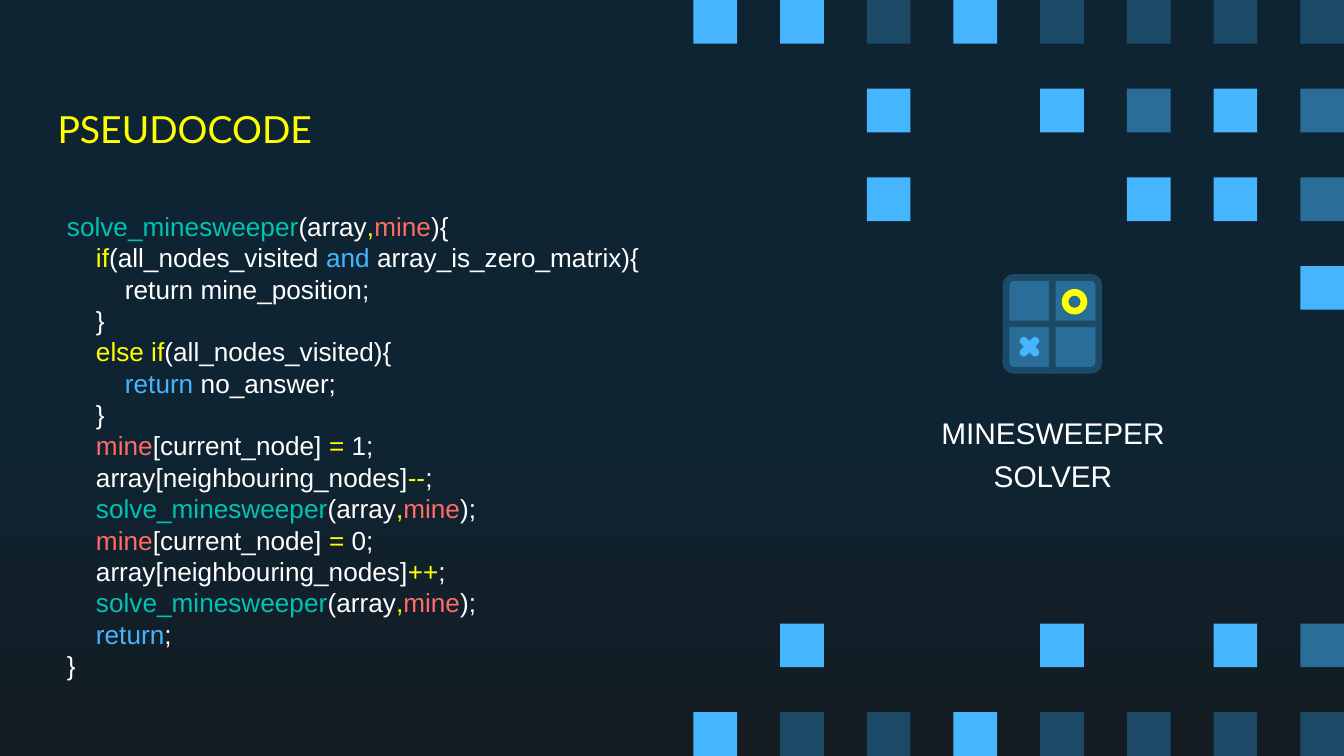
from dataclasses import dataclass

from pptx import Presentation
from pptx.dml.color import RGBColor
from pptx.enum.shapes import MSO_SHAPE
from pptx.enum.text import MSO_ANCHOR, PP_ALIGN
from pptx.util import Inches, Pt


@dataclass(frozen=True)
class Theme:
    night: str = "0E2433"
    dusk: str = "141C21"
    dark: str = "1C4966"
    mid: str = "296D98"
    bright: str = "45B6FE"
    yellow: str = "FFFF00"
    white: str = "FFFFFF"
    teal: str = "00C3B1"
    red: str = "FF6B65"
    title_font: str = "Lato"
    body_font: str = "Arial"
    title_size: float = 20
    label_size: float = 16
    code_size: float = 14
    code_leading: float = 16.8


T = Theme()
TILES = {"B": T.bright, "M": T.mid, "D": T.dark}
TOP_ROWS = ["BBDBDDDD", "..B.BMBM", "..B..BBM", ".......B"]
BOTTOM_ROWS = [".B..B.BM", "BDDBDDDD"]


def call(end):
    return [("solve_minesweeper", T.teal), ("(array", T.white), (",", T.yellow),
            ("mine", T.red), (end, T.white)]


def assign(value):
    return [("mine", T.red), ("[current_node] ", T.white), ("=", T.yellow),
            (f" {value};", T.white)]


def step(operator):
    return [("array[neighbouring_nodes]", T.white), (operator, T.yellow), (";", T.white)]


CODE = [
    (0, call("){")),
    (1, [("if", T.yellow), ("(all_nodes_visited ", T.white), ("and", T.bright),
         (" array_is_zero_matrix){", T.white)]),
    (2, [("return mine_position;", T.white)]),
    (1, [("}", T.white)]),
    (1, [("else if", T.yellow), ("(all_nodes_visited){", T.white)]),
    (2, [("return", T.bright), (" no_answer;", T.white)]),
    (1, [("}", T.white)]),
    (1, assign(1)),
    (1, step("--")),
    (1, call(");")),
    (1, assign(0)),
    (1, step("++")),
    (1, call(");")),
    (1, [("return", T.bright), (";", T.white)]),
    (0, [("}", T.white)]),
]


def add_block(shapes, kind, x, y, w, h, color, adj=None):
    sp = shapes.add_shape(kind, Inches(x), Inches(y), Inches(w), Inches(h))
    sp.shadow.inherit = False
    sp.fill.solid()
    sp.fill.fore_color.rgb = RGBColor.from_string(color)
    sp.line.fill.background()
    if adj is not None:
        sp.adjustments[0] = adj
    return sp


def add_text_frame(s, x, y, w, h, anchor, bottom=0.1):
    tf = s.shapes.add_textbox(Inches(x), Inches(y), Inches(w), Inches(h)).text_frame
    tf.word_wrap = True
    tf.vertical_anchor = anchor
    tf.margin_left = tf.margin_right = tf.margin_top = Inches(0.1)
    tf.margin_bottom = Inches(bottom)
    return tf


def add_run(p, text, color, font, size):
    r = p.add_run()
    r.text = text
    r.font.name = font
    r.font.size = Pt(size)
    r.font.color.rgb = RGBColor.from_string(color)


def draw_background(s):
    fill = s.background.fill
    fill.gradient()
    fill.gradient_angle = 270
    for stop, pos, color in zip(fill.gradient_stops, (0.56, 1), (T.night, T.dusk)):
        stop.position = pos
        stop.color.rgb = RGBColor.from_string(color)


def draw_tiles(s, x, y, rows, pitch_x=0.645, pitch_y=0.66, side=0.325):
    for j, row in enumerate(rows):
        for i, key in enumerate(row):
            if key in TILES:
                add_block(s.shapes, MSO_SHAPE.RECTANGLE, x + i * pitch_x,
                          y + j * pitch_y, side, side, TILES[key])


def draw_title(s, x, y, w, h):
    tf = add_text_frame(s, x, y, w, h, MSO_ANCHOR.MIDDLE)
    add_run(tf.paragraphs[0], "PSEUDOCODE", T.yellow, T.title_font, T.title_size)


def draw_code(s, x, y, w, h, indent=0.216):
    tf = add_text_frame(s, x, y, w, h, MSO_ANCHOR.MIDDLE, bottom=0.8)
    for n, (level, tokens) in enumerate(CODE):
        p = tf.add_paragraph() if n else tf.paragraphs[0]
        p.line_spacing = Pt(T.code_leading)
        p._p.get_or_add_pPr().set("marL", str(Inches(level * indent)))
        for text, color in tokens:
            add_run(p, text, color, T.body_font, T.code_size)


def draw_board(s, x, y, side):
    shapes = s.shapes.add_group_shape().shapes
    rim, bar = 0.05, 0.05
    inner = side - 2 * rim
    middle = (side - bar) / 2
    add_block(shapes, MSO_SHAPE.ROUNDED_RECTANGLE, x, y, side, side, T.dark, 0.11)
    add_block(shapes, MSO_SHAPE.ROUNDED_RECTANGLE, x + rim, y + rim, inner, inner, T.mid, 0.05)
    add_block(shapes, MSO_SHAPE.RECTANGLE, x + middle, y, bar, side, T.dark)
    add_block(shapes, MSO_SHAPE.RECTANGLE, x, y + middle, side, bar, T.dark)
    for angle in (45, -45):
        arm = add_block(shapes, MSO_SHAPE.ROUNDED_RECTANGLE, x + 0.11, y + 0.51,
                        0.18, 0.06, T.bright, 0.5)
        arm.rotation = angle
    add_block(shapes, MSO_SHAPE.DONUT, x + 0.44, y + 0.11, 0.19, 0.19, T.yellow, 0.26)


def draw_label(s, x, y, w, h):
    tf = add_text_frame(s, x, y, w, h, MSO_ANCHOR.TOP)
    p = tf.paragraphs[0]
    p.alignment = PP_ALIGN.CENTER
    p.line_spacing = 1.2
    add_run(p, "MINESWEEPER SOLVER", T.white, T.body_font, T.label_size)


def main():
    prs = Presentation()
    prs.slide_width, prs.slide_height = Inches(10), Inches(5.625)
    s = prs.slides.add_slide(prs.slide_layouts[6])
    draw_background(s)
    draw_tiles(s, 5.16, 0, TOP_ROWS)
    draw_tiles(s, 5.16, 4.64, BOTTOM_ROWS)
    draw_title(s, 0.33, 0.52, 6.06, 0.88)
    draw_code(s, 0.4, 2.29, 5.1, 2.75)
    draw_board(s, 7.46, 2.04, 0.74)
    draw_label(s, 6.74, 2.93, 2.19, 0.31)
    prs.save("out.pptx")


if __name__ == "__main__":
    main()
